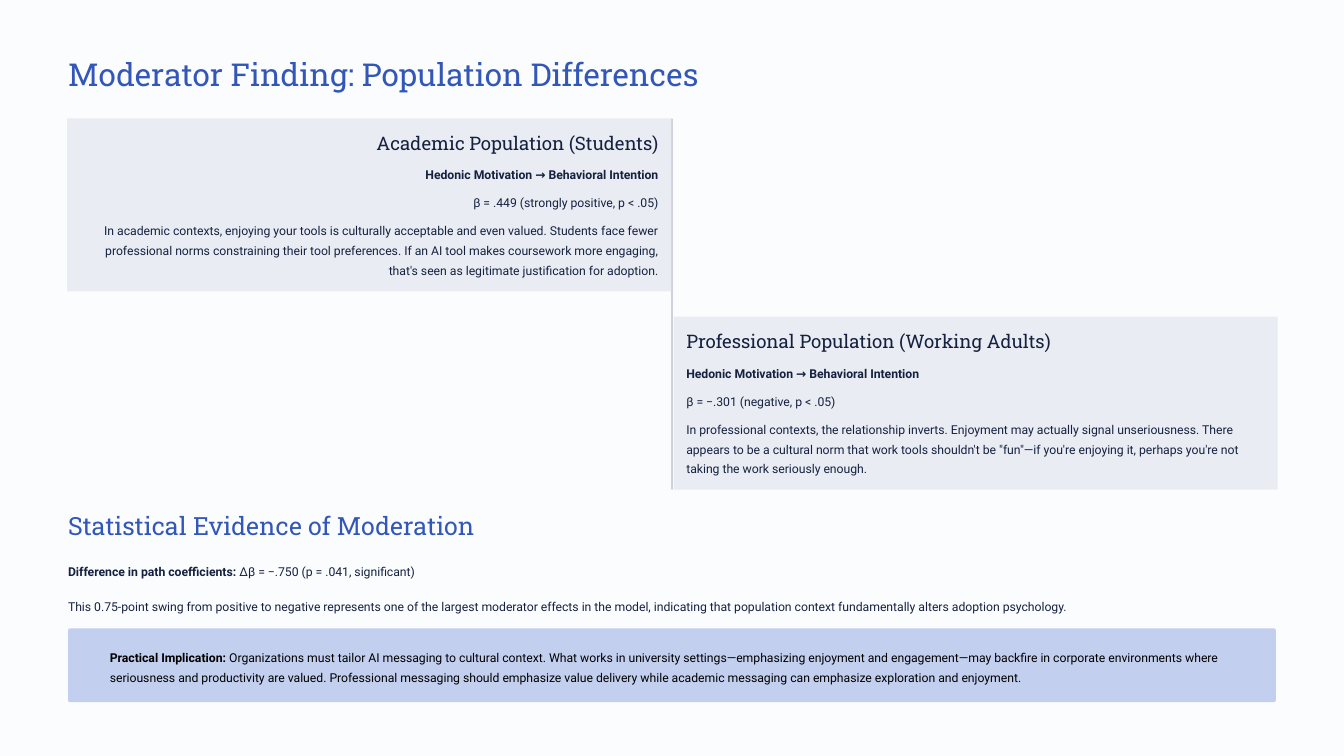
from pptx import Presentation
from pptx.dml.color import RGBColor
from pptx.enum.shapes import MSO_SHAPE as Shape
from pptx.enum.text import MSO_ANCHOR as Anchor, MSO_AUTO_SIZE as Fit, PP_ALIGN as Align
from pptx.util import Inches, Pt

BLUE, NAVY, BLACK = "3257B8", "15213F", "000000"
PAPER, GREY, RULE, PALE = "FBFCFE", "E9ECF2", "CFD2D8", "C3CFEF"
SLAB, SANS = "Roboto Slab", "Roboto"
LEFT, WIDE = 0.81, 14.38
CARD_W, CARD_H, PAD = 7.19, 2.06, 0.15

LINK = "Hedonic Motivation → Behavioral Intention"
CARDS = [
    (0.8, 1.41, Align.RIGHT, "Academic Population (Students)",
     "β = .449 (strongly positive, p < .05)",
     "In academic contexts, enjoying your tools is culturally acceptable and even valued. "
     "Students face fewer professional norms constraining their tool preferences. If an AI "
     "tool makes coursework more engaging, that's seen as legitimate justification for adoption."),
    (8.02, 3.77, Align.LEFT, "Professional Population (Working Adults)",
     "β = −.301 (negative, p < .05)",
     "In professional contexts, the relationship inverts. Enjoyment may actually signal "
     "unseriousness. There appears to be a cultural norm that work tools shouldn't be \"fun\"—if "
     "you're enjoying it, perhaps you're not taking the work seriously enough."),
]


def paint(fill, color):
    fill.solid()
    fill.fore_color.rgb = RGBColor.from_string(color)


def setup(frame, left=0, top=0, right=0):
    """Wrap text from the top of the frame, with insets in inches."""
    frame.word_wrap = True
    frame.auto_size = Fit.NONE
    frame.vertical_anchor = Anchor.TOP
    frame.margin_left, frame.margin_top = Inches(left), Inches(top)
    frame.margin_right, frame.margin_bottom = Inches(right), 0
    return frame


def write(frame, text, lead="", size=10.5, line=17, font=SANS, color=NAVY,
          align=Align.LEFT, gap=0):
    """Add a paragraph, opening with a bold lead if one is given."""
    para = frame.paragraphs[0]
    if para.runs:
        para = frame.add_paragraph()
    para.alignment = align
    para.line_spacing, para.space_before = Pt(line), Pt(gap)
    para.font.name, para.font.size = font, Pt(size)
    para.font.color.rgb = RGBColor.from_string(color)
    for part, bold in ((lead, True), (text, False)):
        if part:
            run = para.add_run()
            run.text, run.font.bold = part, bold


def block(slide, x, y, w, h, color, kind=Shape.RECTANGLE, round=None):
    shape = slide.shapes.add_shape(kind, Inches(x), Inches(y), Inches(w), Inches(h))
    shape.shadow.inherit = False
    paint(shape.fill, color)
    shape.line.fill.background()
    if round is not None:
        shape.adjustments[0] = round
    return shape


def label(slide, x, y, w, h):
    box = slide.shapes.add_textbox(Inches(x), Inches(y), Inches(w), Inches(h))
    return setup(box.text_frame)


def card(slide, x, y, align, head, beta, body):
    shape = block(slide, x, y, CARD_W, CARD_H, GREY)
    frame = setup(shape.text_frame, PAD, PAD, PAD)
    write(frame, head, size=16, line=20, font=SLAB, align=align)
    write(frame, "", lead=LINK, align=align, gap=7)
    for text in (beta, body):
        write(frame, text, align=align, gap=7)


def heading(slide):
    title = slide.shapes.title
    title.left, title.top = Inches(LEFT), Inches(0.64)
    title.width, title.height = Inches(WIDE), Inches(0.47)
    write(setup(title.text_frame), "Moderator Finding: Population Differences",
          size=27, line=33.5, font=SLAB, color=BLUE)


def evidence(slide):
    write(label(slide, LEFT, 6.06, WIDE, 0.38), "Statistical Evidence of Moderation",
          size=21.5, line=27, font=SLAB, color=BLUE)
    frame = label(slide, LEFT, 6.66, WIDE, 0.65)
    write(frame, " Δβ = −.750 (p = .041, significant)", lead="Difference in path coefficients:")
    write(frame, "This 0.75-point swing from positive to negative represents one of the largest "
          "moderator effects in the model, indicating that population context fundamentally "
          "alters adoption psychology.", gap=12.5)


def callout(slide):
    shape = block(slide, LEFT, 7.48, WIDE, 0.88, PALE, Shape.ROUNDED_RECTANGLE, 0.03)
    write(setup(shape.text_frame, 0.49, 0.19, PAD),
          " Organizations must tailor AI messaging to cultural context. What works in university "
          "settings—emphasizing enjoyment and engagement—may backfire in corporate environments "
          "where seriousness and productivity are valued. Professional messaging should emphasize "
          "value delivery while academic messaging can emphasize exploration and enjoyment.",
          lead="Practical Implication:", color=BLACK)


def main():
    deck = Presentation()
    deck.slide_width, deck.slide_height = Inches(16), Inches(9)
    slide = deck.slides.add_slide(deck.slide_layouts[5])
    paint(slide.background.fill, PAPER)
    heading(slide)
    block(slide, 7.99, 1.41, 0.02, 4.42, RULE, Shape.ROUNDED_RECTANGLE, 0.5)
    for item in CARDS:
        card(slide, *item)
    evidence(slide)
    callout(slide)
    deck.save("out.pptx")


if __name__ == "__main__":
    main()
